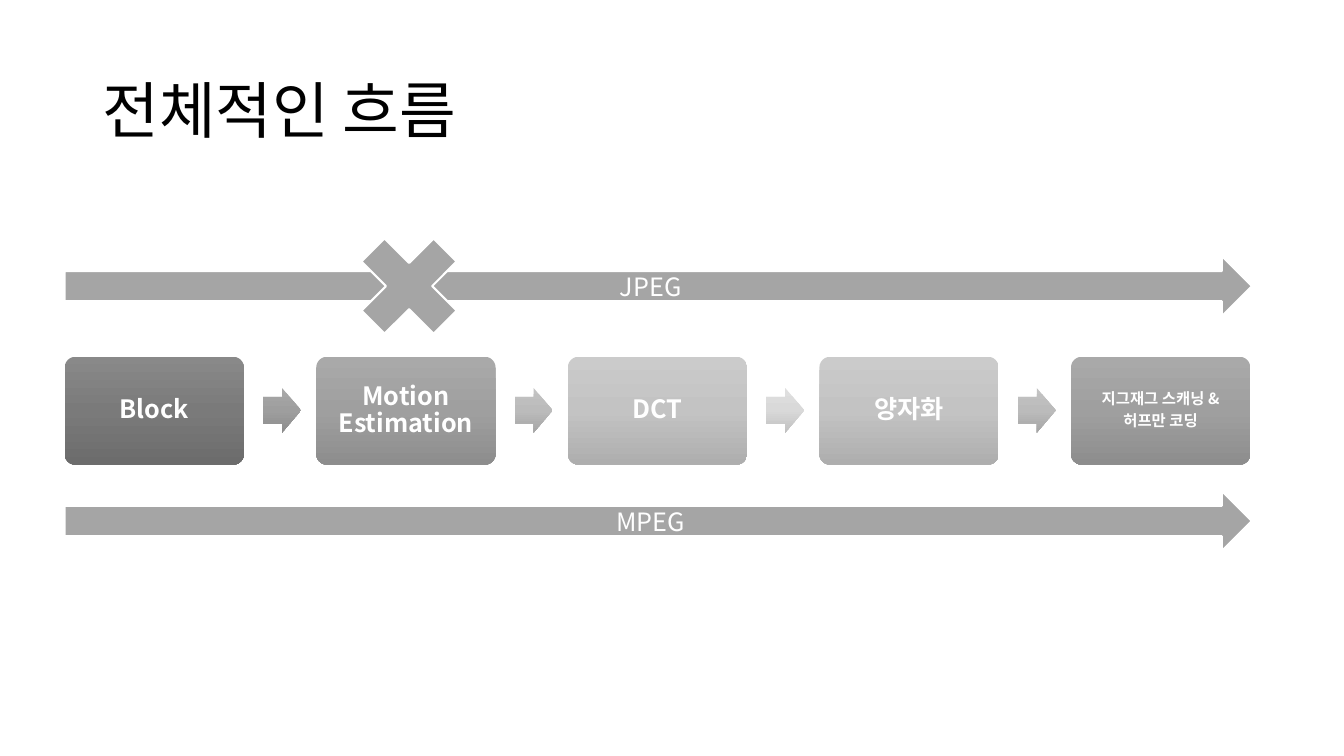
from copy import deepcopy
from lxml.etree import SubElement
from pptx import Presentation
from pptx.dml.color import RGBColor as Rgb
from pptx.enum.shapes import MSO_SHAPE as Geo
from pptx.enum.text import MSO_ANCHOR as Anchor, MSO_AUTO_SIZE as Auto, PP_ALIGN as Align
from pptx.oxml.ns import qn
from pptx.util import Cm, Pt

FONT = "Noto Sans CJK KR"
INK = {"black": "000000", "white": "FFFFFF", "gray": "A5A5A5"}
FADES = {
    "dark box": ("898989", "7A7A7A", "6C6C6C"),
    "mid box": ("A9A9A9", "9F9F9F", "8D8D8D"),
    "light box": ("CBCBCB", "C3C3C3", "AEAEAE"),
    "dark arrow": ("A8A8A8", "9E9E9E", "8C8C8C"),
    "mid arrow": ("C3C3C3", "BBBBBB", "A6A6A6"),
    "light arrow": ("DFDFDF", "D9D9D9", "C0C0C0"),
}


def write(shape, text, size, ink, align, bold=False, space=0, line=1.0):
    """Fill the shape with text, one paragraph for each line."""
    frame = shape.text_frame
    frame.text = text
    frame.word_wrap = True
    frame.auto_size = Auto.NONE
    frame.vertical_anchor = Anchor.MIDDLE
    looks = {"name": FONT, "size": Pt(size), "bold": bold}
    for para in frame.paragraphs:
        para.alignment = align
        para.line_spacing = line
        para.space_after = Pt(space)
        for run in para.runs:
            run.font.color.rgb = Rgb.from_string(INK[ink])
            for key, value in looks.items():
                setattr(run.font, key, value)
            SubElement(run.font._element, qn("a:ea"), typeface=FONT)


def draw(geo, left, top, width, height, fade=None):
    """Add a shape with a three-step fade, or plain gray with a white line."""
    shape = deck.shapes.add_shape(geo, Cm(left), Cm(top), Cm(width), Cm(height))
    shape.shadow.inherit = False
    fill = shape.fill
    if fade is None:
        fill.solid()
        fill.fore_color.rgb = Rgb.from_string(INK["gray"])
        shape.line.color.rgb = Rgb.from_string(INK["white"])
        shape.line.width = Pt(1.5)
        return shape
    shape.line.fill.background()
    fill.gradient()
    fill.gradient_angle = 270
    stops = shape._element.spPr.find(qn("a:gradFill")).find(qn("a:gsLst"))
    stops.insert(1, deepcopy(stops[0]))
    for stop, tone, place in zip(fill.gradient_stops, FADES[fade], (0, 0.5, 1)):
        stop.color.rgb = Rgb.from_string(tone)
        stop.position = place
    return shape


show = Presentation()
show.slide_width, show.slide_height = Cm(33.87), Cm(19.05)
deck = show.slides.add_slide(show.slide_layouts[5])

title = deck.shapes.title
title.left, title.top, title.width, title.height = Cm(2.33), Cm(1.01), Cm(29.21), Cm(3.68)
write(title, "전체적인 흐름", 44, "black", Align.LEFT, line=0.9)

LEFT, STEP = 1.63, 6.34
steps = [
    ("Block", "dark", 18, "dark"),
    ("Motion Estimation", "mid", 18, "mid"),
    ("DCT", "light", 18, "light"),
    ("양자화", "light", 18, "mid"),
    ("지그재그 스캐닝 &\n허프만 코딩", "mid", 11, None),
]
for i, (text, tone, size, next_tone) in enumerate(steps):
    left = LEFT + i * STEP
    box = draw(Geo.ROUNDED_RECTANGLE, left, 8.99, 4.52, 2.72, f"{tone} box")
    box.adjustments[0] = 0.1
    write(box, text, size, "white", Align.CENTER, bold=True, space=0.35 * size, line=0.9)
    for side in ("left", "top", "right", "bottom"):
        setattr(box.text_frame, f"margin_{side}", Cm(0.25))
    if next_tone:
        arrow = draw(Geo.RIGHT_ARROW, left + 5, 9.78, 0.96, 1.12, f"{next_tone} arrow")
        arrow.adjustments[0] = 0.6

for name, top in (("MPEG", 12.37), ("JPEG", 6.45)):
    band = draw(Geo.RIGHT_ARROW, LEFT, top, 29.92, 1.52)
    write(band, name, 18, "white", Align.CENTER)

draw(Geo.MATH_MULTIPLY, 8.56, 5.46, 3.5, 3.5)

show.save("out.pptx")
